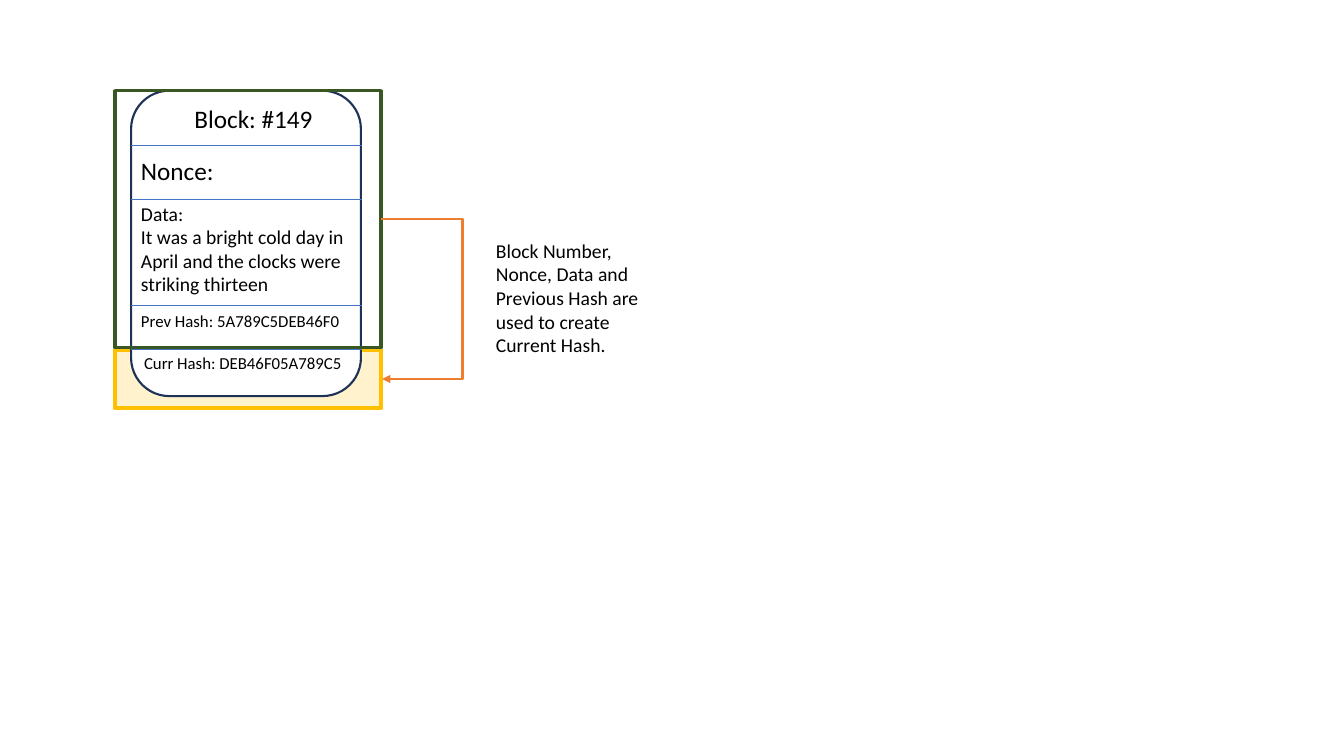
from dataclasses import dataclass

from lxml import etree
from pptx import Presentation
from pptx.dml.color import RGBColor
from pptx.enum import shapes, text
from pptx.oxml import ns
from pptx.util import Inches, Pt

COLORS = {
    "text": "000000",
    "white": "FFFFFF",
    "block": "1E3256",
    "divider": "4472C4",
    "inputs": "385723",
    "hash": "FFC000",
    "hash_fill": "FFF2CC",
    "arrow": "ED7D31",
}
FONT = "Calibri"
BLOCK_LEFT, BLOCK_RIGHT = 1.3, 3.59
FRAME_LEFT, FRAME_WIDTH = 1.14, 2.64


@dataclass
class Box:
    kind: shapes.MSO_SHAPE
    left: float
    top: float
    width: float
    height: float
    line: str
    weight: float
    fill: str | None = None


@dataclass
class Label:
    left: float
    top: float
    width: float
    height: float
    size: int
    lines: tuple[str, ...]


HASH_FRAME = Box(shapes.MSO_SHAPE.RECTANGLE, FRAME_LEFT, 3.47, FRAME_WIDTH, 0.58,
                 "hash", 3, "hash_fill")
BLOCK = Box(shapes.MSO_SHAPE.ROUNDED_RECTANGLE, BLOCK_LEFT, 0.9, 2.28, 3.03,
            "block", 1.5, "white")
INPUTS_FRAME = Box(shapes.MSO_SHAPE.RECTANGLE, FRAME_LEFT, 0.9, FRAME_WIDTH, 2.55,
                   "inputs", 2.5)
DIVIDERS = (1.44, 1.98, 3.03, 3.47)
FIELDS = (
    Label(1.83, 0.98, 1.73, 0.4, 18, ("Block: #149",)),
    Label(BLOCK_LEFT, 1.49, 1.73, 0.4, 18, ("Nonce:",)),
    Label(BLOCK_LEFT, 1.95, 2.25, 1.04, 14, (
        "Data:",
        "It was a bright cold day in April and the clocks were striking thirteen",
    )),
    Label(BLOCK_LEFT, 3.03, 2.25, 0.3, 12, ("Prev Hash: 5A789C5DEB46F0",)),
    Label(1.33, 3.45, 2.25, 0.3, 12, ("Curr Hash: DEB46F05A789C5",)),
)
NOTE = Label(4.82, 2.32, 1.74, 1.28, 14, (
    "Block Number, Nonce, Data and Previous Hash are used to create Current Hash.",
))


def rgb(name: str) -> RGBColor:
    return RGBColor.from_string(COLORS[name])


def draw_box(slide, box: Box) -> None:
    sp = slide.shapes.add_shape(box.kind, Inches(box.left), Inches(box.top),
                                Inches(box.width), Inches(box.height))
    sp.shadow.inherit = False
    if box.fill:
        sp.fill.solid()
        sp.fill.fore_color.rgb = rgb(box.fill)
    else:
        sp.fill.background()
    sp.line.color.rgb = rgb(box.line)
    sp.line.width = Pt(box.weight)


def draw_label(slide, label: Label) -> None:
    sp = slide.shapes.add_textbox(Inches(label.left), Inches(label.top),
                                  Inches(label.width), Inches(label.height))
    tf = sp.text_frame
    tf.word_wrap = True
    tf.auto_size = text.MSO_AUTO_SIZE.SHAPE_TO_FIT_TEXT
    tf.text = "\n".join(label.lines)
    for p in tf.paragraphs:
        p.font.name = FONT
        p.font.size = Pt(label.size)
        p.font.color.rgb = rgb("text")


def draw_connector(slide, kind: shapes.MSO_CONNECTOR, start: tuple[float, float],
                   end: tuple[float, float], color: str, weight: float):
    cxn = slide.shapes.add_connector(kind, *map(Inches, start + end))
    cxn.line.color.rgb = rgb(color)
    cxn.line.width = Pt(weight)
    etree.SubElement(cxn._element.spPr, ns.qn("a:effectLst"))
    return cxn


def draw_hash_arrow(slide) -> None:
    start, end, bend_x = (3.78, 2.17), (3.79, 3.76), 4.6
    cxn = draw_connector(slide, shapes.MSO_CONNECTOR.ELBOW, start, end, "arrow", 1.75)
    etree.SubElement(cxn.line._get_or_add_ln(), ns.qn("a:tailEnd"), type="triangle")
    # The bend is given as a share of the connector's width
    bend = round((bend_x - start[0]) / (end[0] - start[0]) * 100000)
    guides = cxn._element.spPr.find(".//" + ns.qn("a:avLst"))
    etree.SubElement(guides, ns.qn("a:gd"), name="adj1", fmla=f"val {bend}")


def main() -> None:
    prs = Presentation()
    prs.slide_width, prs.slide_height = Inches(13.33), Inches(7.5)
    slide = prs.slides.add_slide(prs.slide_layouts[6])

    # Block with its fields
    draw_box(slide, HASH_FRAME)
    draw_box(slide, BLOCK)
    for y in DIVIDERS:
        draw_connector(slide, shapes.MSO_CONNECTOR.STRAIGHT, (BLOCK_LEFT, y),
                       (BLOCK_RIGHT, y), "divider", 0.5)
    for field in FIELDS:
        draw_label(slide, field)

    # Hash inputs, arrow and explanation
    draw_box(slide, INPUTS_FRAME)
    draw_hash_arrow(slide)
    draw_label(slide, NOTE)

    prs.save("out.pptx")


if __name__ == "__main__":
    main()
